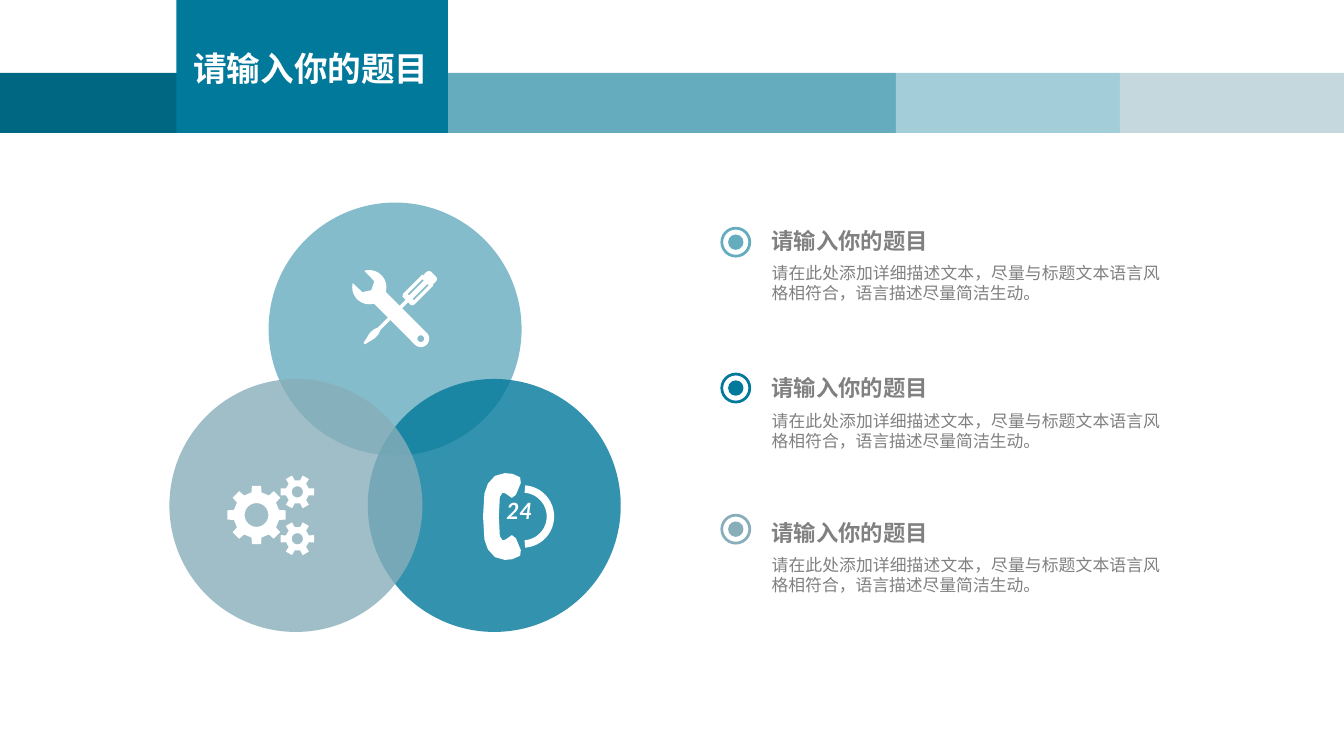
import math

import pptx
import pptx.dml.color
import pptx.enum.shapes
import pptx.enum.text
import pptx.oxml
import pptx.oxml.ns
import pptx.util

Pt = pptx.util.Pt
RGBColor = pptx.dml.color.RGBColor
SHAPE = pptx.enum.shapes.MSO_SHAPE
ALIGN = pptx.enum.text.PP_ALIGN

DEEP = RGBColor(0x00, 0x67, 0x83)
BLUE = RGBColor(0x00, 0x79, 0x9B)
TEAL = RGBColor(0x66, 0xAC, 0xBF)
LIGHT = RGBColor(0xA3, 0xCD, 0xD9)
PALE = RGBColor(0xC4, 0xD8, 0xDE)
STEEL = RGBColor(0x88, 0xAE, 0xBA)
GREY = RGBColor(0x80, 0x80, 0x80)
WHITE = RGBColor(0xFF, 0xFF, 0xFF)

HEADING = "请输入你的题目"
DETAIL = "请在此处添加详细描述文本，尽量与标题文本语言风格相符合，语言描述尽量简洁生动。"


def paint(shape, color):
    shape.shadow.inherit = False
    shape.fill.solid()
    shape.fill.fore_color.rgb = color
    shape.line.fill.background()


def add_filled(s, kind, x, y, w, h, color):
    shape = s.shapes.add_shape(kind, Pt(x), Pt(y), Pt(w), Pt(h))
    paint(shape, color)
    return shape


def add_text(s, x, y, w, h, text, size, font, color,
             bold=False, italic=False, align=ALIGN.LEFT, wrap=True):
    tf = s.shapes.add_textbox(Pt(x), Pt(y), Pt(w), Pt(h)).text_frame
    tf.word_wrap = wrap
    p = tf.paragraphs[0]
    p.text = text
    p.alignment = align
    p.font.size = Pt(size)
    p.font.name = font
    p.font.bold = bold
    p.font.italic = italic
    p.font.color.rgb = color


def add_outline(s, cx, cy, contours):
    """Draw closed contours, in points around (cx, cy), as one white shape."""
    rings = [[(x * 100, y * 100) for x, y in ring] for ring in contours]
    builder = s.shapes.build_freeform(*rings[0][0], scale=127.0)
    for i, ring in enumerate(rings):
        if i:
            builder.move_to(*ring[0])
        builder.add_line_segments(ring[1:], close=True)
    paint(builder.convert_to_shape(Pt(cx), Pt(cy)), WHITE)


def arc(cx, cy, radius, start=0, end=360, steps=24):
    angles = [math.radians(start + (end - start) * i / steps) for i in range(steps + 1)]
    return [(cx + radius * math.cos(a), cy + radius * math.sin(a)) for a in angles]


def turn(points, degrees, dx, dy):
    """Rotate points about the origin, then shift them."""
    c, n = math.cos(math.radians(degrees)), math.sin(math.radians(degrees))
    return [(dx + x * c - y * n, dy + x * n + y * c) for x, y in points]


def gear(cx, cy, tip, root, hole, teeth):
    """Return the toothed rim and the hole of a gear."""
    rim = []
    for i in range(teeth):
        for shift, radius in ((-0.28, root), (-0.2, tip), (0.2, tip), (0.28, root)):
            a = 2 * math.pi * (i + shift) / teeth
            rim.append((cx + radius * math.cos(a), cy + radius * math.sin(a)))
    return [rim, arc(cx, cy, hole)]


def draw_tools(s, cx, cy):
    wrench = (arc(0, 0, 12.2, -152, -29) + arc(52, 0, 6, -90, 90)
              + arc(0, 0, 12.2, 29, 149) + [(-1, 6), (2.5, 0.5), (-0.5, -5.6)])
    add_outline(s, cx, cy, [turn(ring, 45, -18.4, -29.9)
                            for ring in (wrench, arc(52, 0, 2.4))])

    half = [(0, 0.7), (8, 2.6), (12, 2.4), (15, 1.3), (43, 1.3), (43, 4.5), (45, 5.6),
            (64, 5.6), (65, 4.5), (66, 5), (69, 4.5), (70, 3)]
    driver = half + [(x, -y) for x, y in reversed(half)]
    grooves = [[(47, v), (62, v), (62, v + 1.4), (47, v + 1.4)] for v in (-3.2, 1.8)]
    add_outline(s, cx, cy, [turn(ring, -45, -22, 10.4) for ring in [driver] + grooves])


def draw_phone(s, cx, cy):
    half = [(3.3, 0), (4, -14), (6, -17), (8, -16.5), (12.6, -13.3), (15.5, -15.5),
            (19, -24), (18.5, -28), (13, -30.5), (7.5, -31), (0.5, -29),
            (-4.5, -23.5), (-7, -16.5), (-8, 0)]
    handset = half + [(x, -y) for x, y in reversed(half)]
    dial = arc(20.5, 0, 22.3, -86, 86) + arc(20.5, 0, 17, 86, -86)
    add_outline(s, cx, cy + 7.9, [handset, dial])
    add_text(s, cx - 2, cy - 9.5, 40, 30, "24", 16, "Lato", WHITE,
             bold=True, italic=True, align=ALIGN.CENTER, wrap=False)


def draw_gears(s, cx, cy):
    add_outline(s, cx, cy, gear(-28.1, 6.8, 21, 16.5, 8.5, 8)
                + gear(1.1, -9.7, 12.3, 8.5, 4, 6) + gear(1.1, 23.8, 12.3, 8.5, 4, 6))


def draw_banner(s, w, h):
    strip_top, tab_left, step = 52, 126, w / 6
    strips = ((0, 1, DEEP), (2, 2, TEAL), (4, 1, LIGHT), (5, 1, PALE))
    for column, span, color in strips:
        add_filled(s, SHAPE.RECTANGLE, column * step, strip_top,
                   span * step, h - strip_top, color)
    add_filled(s, SHAPE.RECTANGLE, tab_left, 0, 2 * step - tab_left, h, BLUE)
    add_text(s, tab_left + 5, 31, 184, 36, HEADING, 24, "Noto Sans CJK SC", WHITE,
             bold=True, wrap=False)


def draw_venn(s, x, y, w, h):
    d = 180.7
    circles = ((x + (w - d) / 2, y, TEAL, draw_tools),
               (x + w - d, y + h - d, BLUE, draw_phone),
               (x, y + h - d, STEEL, draw_gears))
    for left, top, color, draw_icon in circles:
        circle = add_filled(s, SHAPE.OVAL, left, top, d, d, color)
        tint = circle.fill._xPr.find(".//" + pptx.oxml.ns.qn("a:srgbClr"))
        tint.append(pptx.oxml.parse_xml(
            '<a:alpha xmlns:a="http://schemas.openxmlformats.org/drawingml/2006/main"'
            ' val="80000"/>'))
        draw_icon(s, left + d / 2, top + d / 2)


def draw_item(s, x, y, marker_top, color):
    size, dot = 22, 11
    ring = add_filled(s, SHAPE.DONUT, x, marker_top, size, size, color)
    ring.adjustments[0] = 0.09
    inset = (size - dot) / 2
    add_filled(s, SHAPE.OVAL, x + inset, marker_top + inset, dot, dot, color)
    add_text(s, x + 29.5, y, 148, 27, HEADING, 16, "Cabin", GREY, bold=True)
    add_text(s, x + 29.5, y + 25.7, 292, 36, DETAIL, 12, "Lato", GREY,
             align=ALIGN.JUSTIFY)


def main():
    prs = pptx.Presentation()
    prs.slide_width, prs.slide_height = Pt(960), Pt(540)
    s = prs.slides.add_slide(prs.slide_layouts[6])
    draw_banner(s, 960, 95)
    draw_venn(s, 121, 144.7, 322.4, 306.7)
    for top, marker_top, color in ((158.4, 162, TEAL), (264, 266.2, BLUE),
                                   (367.2, 367, STEEL)):
        draw_item(s, 514.6, top, marker_top, color)
    prs.save("out.pptx")


if __name__ == "__main__":
    main()
